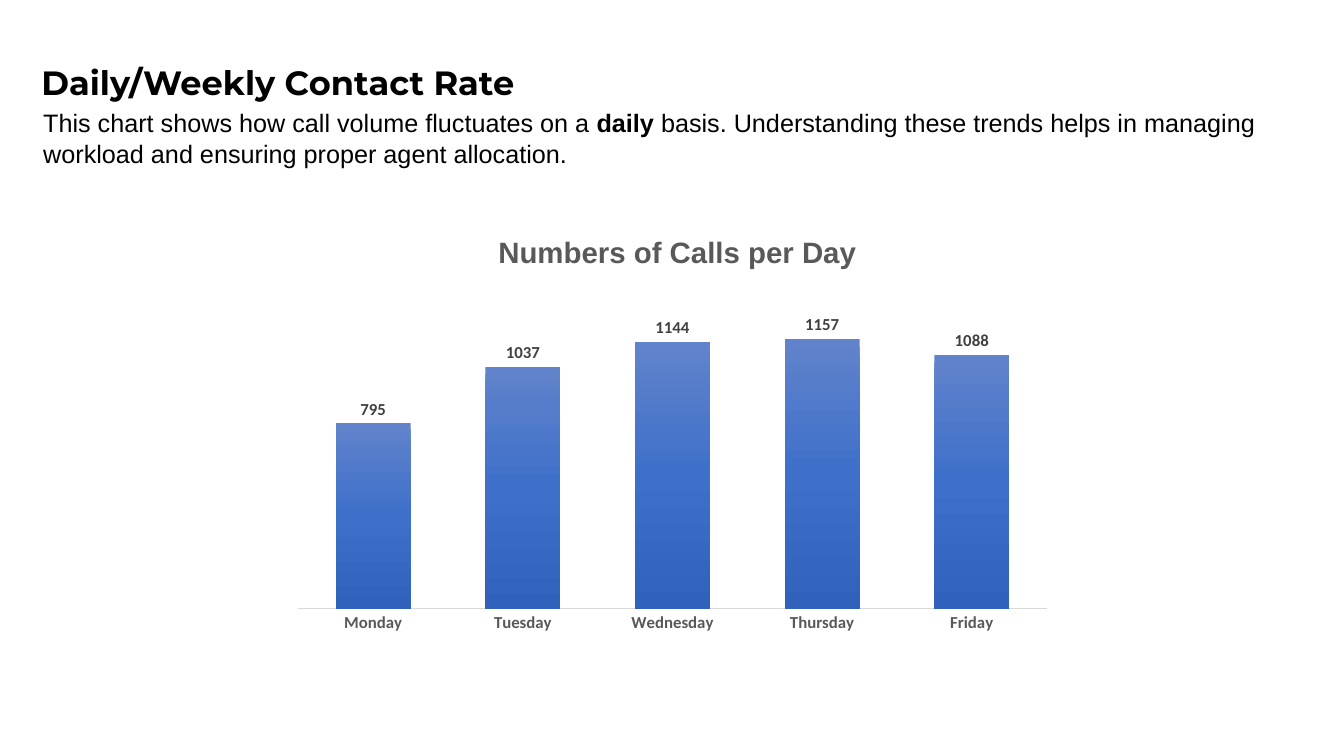
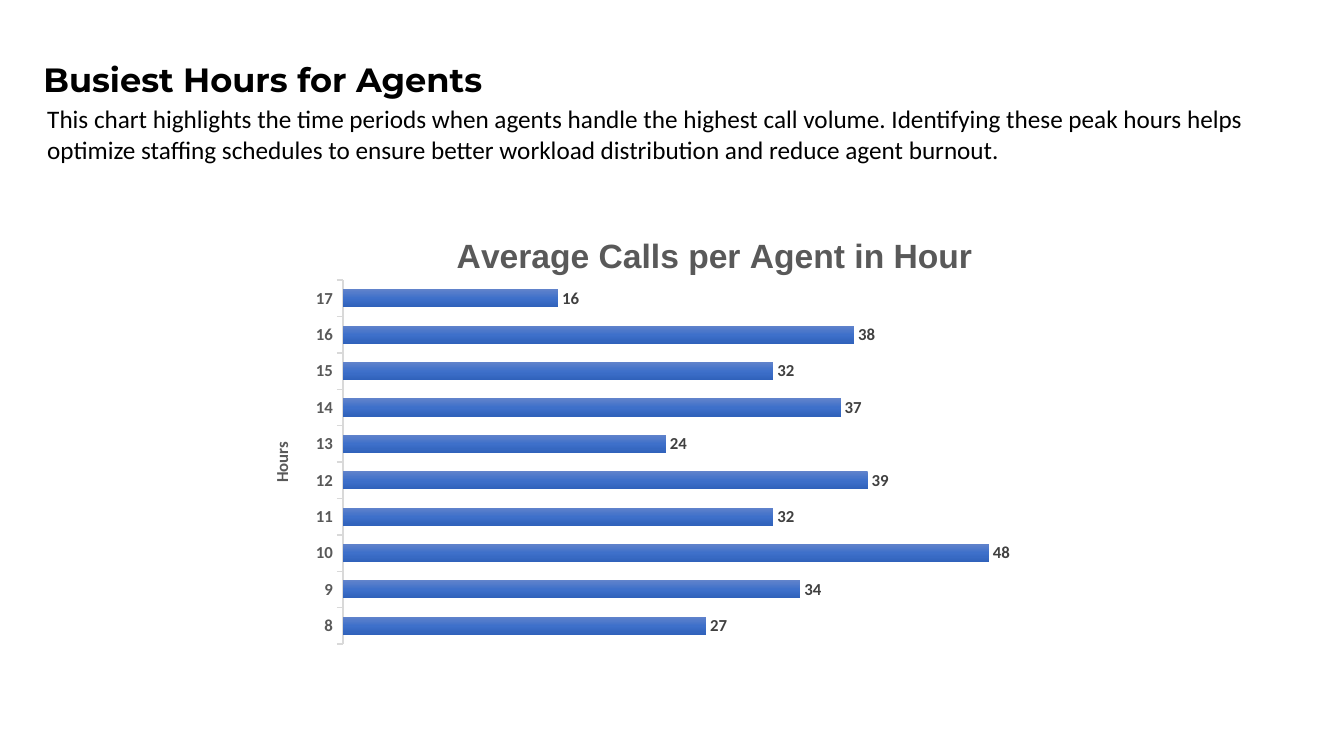
from copy import deepcopy

from lxml.etree import SubElement
from pptx import Presentation
from pptx.chart.data import CategoryChartData as ChartData
from pptx.dml.color import RGBColor as RGB
from pptx.enum.chart import XL_CHART_TYPE as Kind
from pptx.enum.chart import XL_LABEL_POSITION as Place
from pptx.enum.chart import XL_TICK_MARK as Tick
from pptx.enum.text import MSO_ANCHOR as Anchor
from pptx.enum.text import MSO_AUTO_SIZE as Fit
from pptx.enum.text import PP_ALIGN as Align
from pptx.oxml.ns import qn
from pptx.util import Pt

PX = 9144  # 100 px to the inch
SIZE = (1333, 750)
BLACK = RGB(0x00, 0x00, 0x00)
GREY = RGB(0x59, 0x59, 0x59)
DARK = RGB(0x40, 0x40, 0x40)
PALE = RGB(0xD9, 0xD9, 0xD9)
BLUES = (RGB(0x61, 0x83, 0xCB), RGB(0x3E, 0x70, 0xCA), RGB(0x30, 0x62, 0xBB))
HEAD, SANS, TEXT = "Montserrat", "Arial", "Calibri"


def emu(box):
    return [n * PX for n in box]


def style(font, name, size, color, bold=False):
    font.name, font.size, font.bold = name, Pt(size), bold
    font.color.rgb = color


def add_title(slide, box, text):
    title = slide.shapes.title
    title.left, title.top, title.width, title.height = emu(box)
    frame = title.text_frame
    frame.text = text
    frame.auto_size = Fit.NONE
    frame.vertical_anchor = Anchor.TOP
    line = frame.paragraphs[0]
    line.alignment = Align.LEFT
    style(line.runs[0].font, HEAD, 24, BLACK, True)


def add_intro(slide, box, font, parts):
    """Write the parts as one paragraph; every second part is bold."""
    frame = slide.shapes.add_textbox(*emu(box)).text_frame
    frame.word_wrap = True
    for i, part in enumerate(parts):
        run = frame.paragraphs[0].add_run()
        run.text = part
        style(run.font, font, 18, BLACK, i % 2 == 1)


def set_layout(node, index, box, part):
    """Pin a chart part inside the chart box; both are in slide px."""
    old = node.find(qn("c:layout"))
    if old is not None:
        node.remove(old)
    layout = SubElement(node, qn("c:layout"))
    node.insert(index, layout)
    manual = SubElement(layout, qn("c:manualLayout"))
    left, top, width, height = box
    if len(part) == 4:
        SubElement(manual, qn("c:layoutTarget")).set("val", "inner")
    for key in ("xMode", "yMode"):
        SubElement(manual, qn("c:" + key)).set("val", "edge")
    shares = [(part[0] - left) / width, (part[1] - top) / height]
    if len(part) == 4:
        shares += [part[2] / width, part[3] / height]
    for key, share in zip("xywh", shares):
        SubElement(manual, qn("c:" + key)).set("val", f"{share:.4f}")


def fill_bars(series):
    fill = series.format.fill
    fill.gradient()
    fill.gradient_angle = 270
    stops = series.format.fill.gradient_stops
    holder = series._element.find(".//" + qn("a:gsLst"))
    holder.insert(1, deepcopy(holder[0]))
    stops = fill.gradient_stops
    for i, (stop, color) in enumerate(zip(stops, BLUES)):
        stop.position = i / 2
        stop.color.rgb = color


def add_bars(slide, box, kind, cats, vals, top, plot, title, spot, size,
             axis=None, tick=Tick.NONE, form="General", overlap=0):
    """Draw one series; plot and spot pin the plot area and the title."""
    data = ChartData()
    data.categories = cats
    data.add_series("Series 1", vals)
    chart = slide.shapes.add_chart(kind, *emu(box), data).chart
    chart.has_legend = False
    style(chart.font, TEXT, 10, BLACK)

    chart.has_title = True
    frame = chart.chart_title.text_frame
    frame.text = title
    style(frame.paragraphs[0].runs[0].font, SANS, size, GREY, True)
    set_layout(chart.chart_title.element, 1, box, spot)
    set_layout(chart.element.find(".//" + qn("c:plotArea")), 0, box, plot)

    scale = chart.value_axis
    scale.minimum_scale, scale.maximum_scale = 0, top
    scale.has_major_gridlines = False
    scale.visible = False

    base = chart.category_axis
    base.major_tick_mark, base.minor_tick_mark = tick, Tick.NONE
    base.format.line.color.rgb = PALE
    base.format.line.width = Pt(1)
    style(base.tick_labels.font, TEXT, 12, GREY, True)
    if axis:
        frame = base.axis_title.text_frame
        frame.text = axis
        style(frame.paragraphs[0].runs[0].font, TEXT, 12, GREY, True)

    bars = chart.plots[0]
    bars.gap_width, bars.overlap = 100, overlap
    bars.vary_by_categories = False
    fill_bars(bars.series[0])
    bars.has_data_labels = True
    labels = bars.data_labels
    labels.show_value = True
    labels.position = Place.OUTSIDE_END
    labels.number_format = form
    labels.number_format_is_linked = False
    style(labels.font, TEXT, 12, DARK, True)


def add_days(slide):
    add_title(slide, (31, 56, 635, 50), "Daily/Weekly Contact Rate")
    add_bars(
        slide, (280, 206, 774, 430), Kind.COLUMN_CLUSTERED,
        ("Monday", "Tuesday", "Wednesday", "Thursday", "Friday"),
        (795, 1037, 1144, 1157, 1088), 1400, (296, 280, 742, 324),
        "Numbers of Calls per Day", (489, 227), 21, overlap=-24)
    add_intro(slide, (33, 102, 1242, 71), SANS, (
        "This chart shows how call volume fluctuates on a ", "daily ",
        "basis. Understanding these trends helps in managing workload "
        "and ensuring proper agent allocation."))


def add_hours(slide):
    add_title(slide, (33, 53, 673, 50), "Busiest Hours for Agents")
    add_intro(slide, (37, 98, 1259, 71), TEXT, (
        "This chart highlights the time periods when agents handle the "
        "highest call volume. Identifying these peak hours helps optimize "
        "staffing schedules to ensure better workload distribution and "
        "reduce agent burnout.",))
    add_bars(
        slide, (248, 208, 910, 440), Kind.BAR_CLUSTERED,
        [str(hour) for hour in range(8, 18)],
        (27, 34, 48, 32, 39, 24, 37, 32, 38, 16), 60, (340, 278, 801, 361),
        "Average Calls per Agent in Hour", (447, 226), 24,
        axis="Hours", tick=Tick.OUTSIDE, form="#,##0")


def main():
    deck = Presentation()
    deck.slide_width, deck.slide_height = emu(SIZE)
    for build in (add_days, add_hours):
        build(deck.slides.add_slide(deck.slide_layouts[5]))
    deck.save("out.pptx")


if __name__ == "__main__":
    main()
